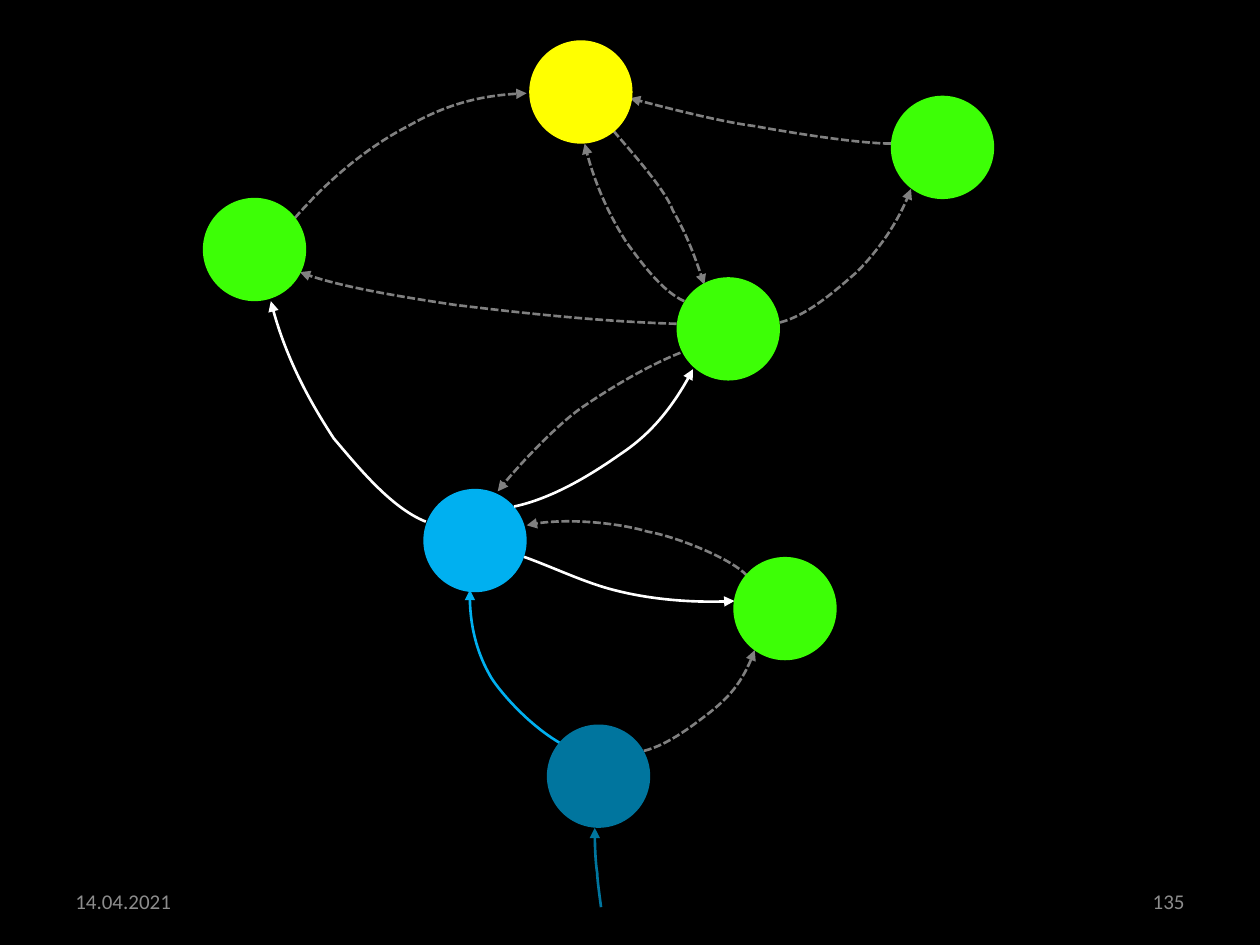
"""Build a slide with a directed graph of coloured nodes and curved arrows."""
from lxml import etree
from pptx import Presentation
from pptx import util as u
from pptx.dml.color import RGBColor
from pptx.enum import dml, shapes, text
from pptx.oxml.ns import qn

BLACK = RGBColor(0x00, 0x00, 0x00)
WHITE = RGBColor(0xFF, 0xFF, 0xFF)
GREY = RGBColor(0x80, 0x80, 0x80)
PALE = RGBColor(0x8C, 0x8C, 0x8C)
BLUE = RGBColor(0x00, 0xB0, 0xF0)
TEAL = RGBColor(0x00, 0x75, 0x9E)
GREEN = RGBColor(0x3D, 0xFF, 0x06)
YELLOW = RGBColor(0xFF, 0xFF, 0x00)

DASH = {"width": u.Pt(1.5), "dash_style": dml.MSO_LINE.SQUARE_DOT}
SOLID = {"width": u.Pt(1.5)}
FONT = {"name": "Calibri", "size": u.Pt(12)}
FRAME = {"word_wrap": True, "vertical_anchor": text.MSO_ANCHOR.MIDDLE}
SIZE = 0.82

EDGES = [
    (GREY, DASH, [(2.34, 1.73), (2.62, 1.41), (2.93, 1.16), (3.24, 1),
                  (3.54, 0.83), (3.84, 0.75), (4.18, 0.74)]),
    (BLUE, SOLID, [(4.45, 5.9), (4.19, 5.75), (3.97, 5.49), (3.9, 5.38),
                   (3.83, 5.26), (3.72, 5.03), (3.73, 4.68)]),
    (GREY, DASH, [(5.11, 5.96), (5.31, 5.91), (5.51, 5.75), (5.64, 5.65),
                  (5.75, 5.56), (5.89, 5.44), (5.99, 5.16)]),
    (GREY, DASH, [(5.93, 4.57), (5.79, 4.42), (5.33, 4.25), (5.14, 4.22),
                  (4.95, 4.16), (4.47, 4.1), (4.18, 4.17)]),
    (WHITE, SOLID, [(4.16, 4.42), (4.41, 4.51), (4.65, 4.63), (4.9, 4.69),
                    (5.14, 4.75), (5.5, 4.79), (5.83, 4.77)]),
    (WHITE, SOLID, [(4.08, 4.02), (4.41, 3.95), (4.73, 3.74), (4.93, 3.6),
                    (5.11, 3.48), (5.32, 3.28), (5.5, 2.93)]),
    (GREY, DASH, [(6.19, 2.56), (6.42, 2.5), (6.65, 2.29), (6.8, 2.16),
                  (6.92, 2.04), (7.12, 1.8), (7.23, 1.5)]),
    (GREY, DASH, [(7.07, 1.14), (6.79, 1.14), (6.2, 1.04), (5.98, 1),
                  (5.74, 0.97), (5.26, 0.85), (5, 0.78)]),
    (TEAL, SOLID, [(4.77, 7.2), (4.76, 7.12), (4.74, 6.98), (4.74, 6.93),
                   (4.73, 6.87), (4.72, 6.75), (4.72, 6.57)]),
    (GREY, DASH, [(5.4, 2.8), (5.12, 2.91), (4.8, 3.11), (4.64, 3.22),
                  (4.47, 3.33), (4.13, 3.67), (3.95, 3.9)]),
    (GREY, DASH, [(5.37, 2.57), (4.69, 2.55), (4.03, 2.47), (3.61, 2.42),
                  (3.28, 2.37), (2.68, 2.28), (2.38, 2.16)]),
    (WHITE, SOLID, [(3.38, 4.14), (3.1, 4.03), (2.83, 3.69), (2.65, 3.48),
                    (2.52, 3.28), (2.27, 2.88), (2.15, 2.39)]),
    (GREY, DASH, [(5.43, 2.39), (5.25, 2.31), (5.08, 2.07), (4.97, 1.92),
                  (4.88, 1.78), (4.72, 1.49), (4.64, 1.14)]),
    (GREY, DASH, [(4.87, 1.04), (4.98, 1.17), (5.28, 1.5), (5.34, 1.67),
                  (5.45, 1.86), (5.53, 2.08), (5.59, 2.26)]),
]

NODES = [
    (1.61, 1.57, GREEN), (7.07, 0.76, GREEN), (5.37, 2.2, GREEN),
    (5.82, 4.42, GREEN), (4.2, 0.32, YELLOW), (4.34, 5.75, TEAL),
]


def apply(item, style):
    for name, value in style.items():
        setattr(item, name, value)


class Graph:
    def __init__(self, slide, ground):
        self.slide = slide
        fill = slide.background.fill
        fill.solid()
        fill.fore_color.rgb = ground

    def label(self, left, words, align):
        box = self.slide.shapes.add_textbox(
            u.Inches(left), u.Inches(6.95), u.Inches(2.33), u.Inches(0.4))
        apply(box.text_frame, FRAME)
        para = box.text_frame.paragraphs[0]
        para.alignment = align
        run = para.add_run()
        run.text = words
        apply(run.font, FONT)
        run.font.color.rgb = PALE

    def node(self, left, top, color):
        disc = self.slide.shapes.add_shape(
            shapes.MSO_SHAPE.OVAL, u.Inches(left), u.Inches(top),
            u.Inches(SIZE), u.Inches(SIZE))
        disc.shadow.inherit = False
        disc.fill.solid()
        disc.fill.fore_color.rgb = color
        disc.line.fill.background()

    def edge(self, color, style, points):
        start, *rest = [(u.Inches(x), u.Inches(y)) for x, y in points]
        pen = self.slide.shapes.build_freeform(*start)
        pen.add_line_segments(rest, close=False)
        curve = pen.convert_to_shape()
        curve.shadow.inherit = False
        curve.fill.background()
        curve.line.color.rgb = color
        apply(curve.line, style)
        props = curve._element.spPr
        steps = list(props.iter(qn("a:lnTo")))
        for first in range(0, len(steps), 3):
            trio = steps[first:first + 3]
            bend = etree.Element(qn("a:cubicBezTo"))
            trio[0].addprevious(bend)
            for step in trio:
                bend.append(step[0])
                step.getparent().remove(step)
        etree.SubElement(props.find(qn("a:ln")), qn("a:tailEnd"), type="triangle")


def main():
    deck = Presentation()
    apply(deck, {"slide_width": u.Inches(10), "slide_height": u.Inches(7.5)})
    graph = Graph(deck.slides.add_slide(deck.slide_layouts[6]), BLACK)
    graph.label(0.5, "14.04.2021", text.PP_ALIGN.LEFT)
    graph.label(7.17, "135", text.PP_ALIGN.RIGHT)
    graph.node(3.36, 3.88, BLUE)
    for edge in EDGES:
        graph.edge(*edge)
    for node in NODES:
        graph.node(*node)
    deck.save("out.pptx")


if __name__ == "__main__":
    main()
